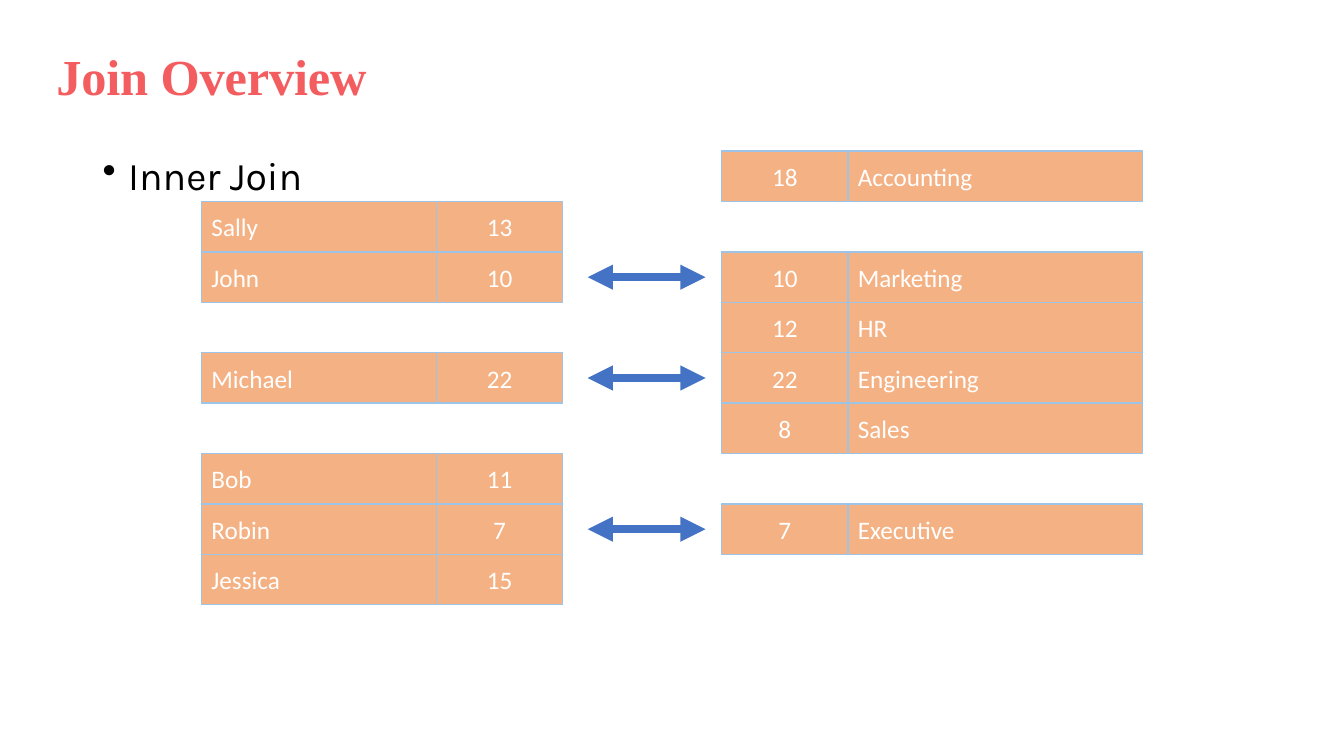
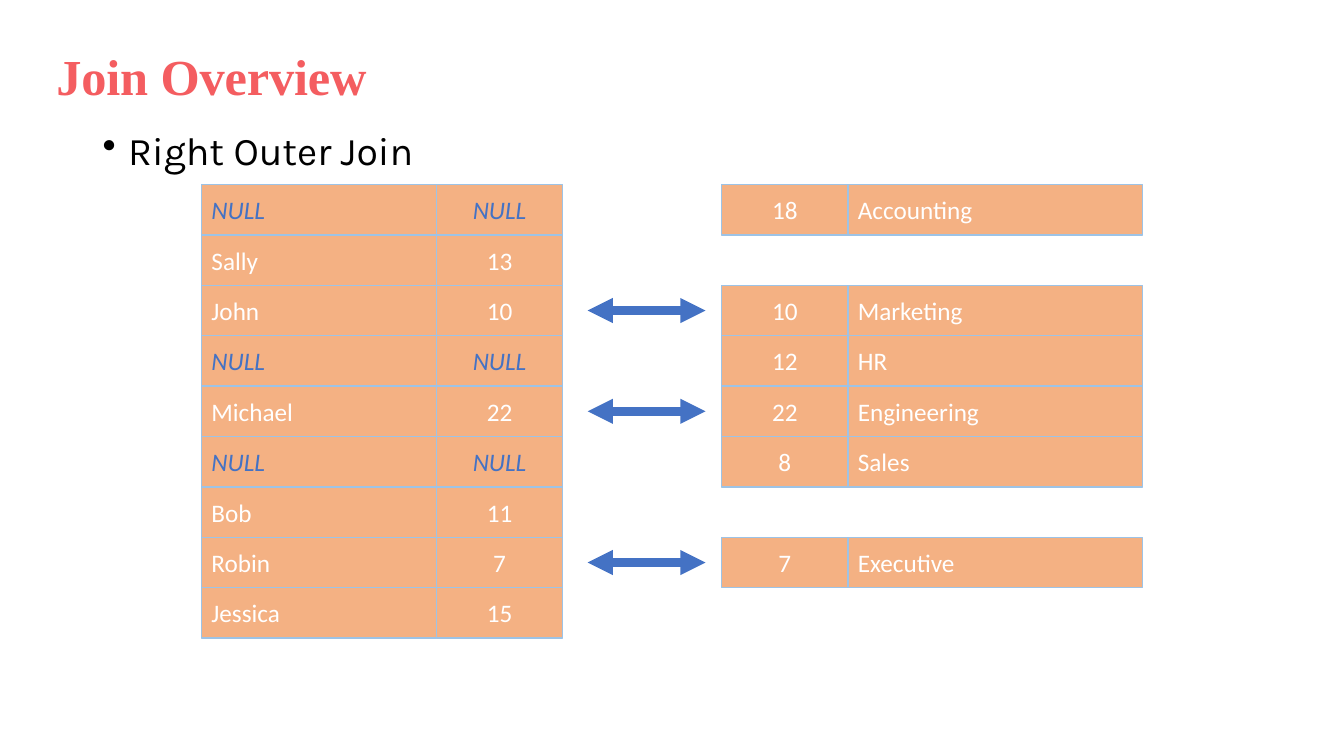
import lxml.etree
import pptx
import pptx.dml.color
import pptx.enum.shapes
import pptx.enum.text
import pptx.oxml.ns
import pptx.util

Cm = pptx.util.Cm
Pt = pptx.util.Pt
qn = pptx.oxml.ns.qn
RGBColor = pptx.dml.color.RGBColor
Align = pptx.enum.text.PP_ALIGN

CORAL = RGBColor(0xF4, 0x5D, 0x60)
ORANGE = RGBColor(0xF4, 0xB1, 0x83)
LIGHT_BLUE = RGBColor(0x9D, 0xC3, 0xE6)
BLUE = RGBColor(0x44, 0x72, 0xC4)
BLACK = RGBColor(0, 0, 0)
WHITE = RGBColor(0xFF, 0xFF, 0xFF)

# Both tables share one grid of rows; None leaves a row open.
EMPLOYEES = [None, ("Sally", "13"), ("John", "10"), None, ("Michael", "22"),
             None, ("Bob", "11"), ("Robin", "7"), ("Jessica", "15")]
DEPARTMENTS = [("18", "Accounting"), None, ("10", "Marketing"), ("12", "HR"),
               ("22", "Engineering"), ("8", "Sales"), None, ("7", "Executive"), None]
NULL = "NULL"

ROW_HEIGHT = 1.27
KEY_WIDTH = 3.18
NAME_LEFT, NAME_WIDTH = 5.08, 5.92
DEPT_LEFT, DEPT_WIDTH = 18.19, 7.42
ARROW_LEFT, ARROW_RIGHT = 14.81, 17.78


class Deck:
    TITLE = {"name": "Times New Roman", "size": Pt(36), "bold": True}
    BULLET = {"name": "Karla", "size": Pt(28)}
    CELL = {"name": "Calibri", "size": Pt(18)}

    def __init__(self):
        self.prs = pptx.Presentation()
        self.prs.slide_width = Cm(33.87)
        self.prs.slide_height = Cm(19.05)
        self.s = None

    def add_text(self, p, text, style, color):
        r = p.add_run()
        r.text = text
        for name, value in style.items():
            setattr(r.font, name, value)
        r.font.color.rgb = color
        return r

    def text_box(self, left, top, width, height):
        tf = self.s.shapes.add_textbox(Cm(left), Cm(top), Cm(width), Cm(height)).text_frame
        tf.word_wrap = True
        return tf

    def new_slide(self):
        """Start a slide with the shared title."""
        self.s = self.prs.slides.add_slide(self.prs.slide_layouts[6])
        tf = self.text_box(1.17, 1.02, 16.97, 1.8)
        tf.auto_size = pptx.enum.text.MSO_AUTO_SIZE.SHAPE_TO_FIT_TEXT
        r = self.add_text(tf.paragraphs[0], "Join Overview", self.TITLE, CORAL)
        r._r.get_or_add_rPr().set("spc", "-10")

    def bullet(self, text, top):
        p = self.text_box(2.34, top, 29.21, 12.09).paragraphs[0]
        p.line_spacing = 0.9
        p.space_before = Pt(10)
        pPr = p._p.get_or_add_pPr()
        pPr.set("marL", str(Cm(0.64)))
        pPr.set("indent", str(-Cm(0.64)))
        lxml.etree.SubElement(pPr, qn("a:buChar")).set("char", "•")
        self.add_text(p, text, self.BULLET, BLACK)

    def cell(self, text, left, top, width, align):
        sp = self.s.shapes.add_shape(pptx.enum.shapes.MSO_SHAPE.RECTANGLE,
                                     Cm(left), Cm(top), Cm(width), Cm(ROW_HEIGHT))
        sp.shadow.inherit = False
        sp.fill.solid()
        sp.fill.fore_color.rgb = ORANGE
        sp.line.color.rgb = LIGHT_BLUE
        sp.line.width = Pt(1)
        sp.text_frame.vertical_anchor = pptx.enum.text.MSO_ANCHOR.MIDDLE
        p = sp.text_frame.paragraphs[0]
        p.alignment = align
        is_null = text == NULL
        self.add_text(p, text, {**self.CELL, "italic": is_null}, BLUE if is_null else WHITE)

    def arrow(self, y):
        connector = self.s.shapes.add_connector(pptx.enum.shapes.MSO_CONNECTOR.STRAIGHT,
                                                Cm(ARROW_LEFT), Cm(y), Cm(ARROW_RIGHT), Cm(y))
        connector.line.color.rgb = BLUE
        connector.line.width = Pt(6)
        spPr = connector._element.spPr
        ln = spPr.find(qn("a:ln"))
        for end in ("a:headEnd", "a:tailEnd"):
            lxml.etree.SubElement(ln, qn(end)).set("type", "triangle")
        lxml.etree.SubElement(spPr, qn("a:effectLst"))

    def join(self, employees, departments, top):
        """Draw both tables row by row, with an arrow where the keys match."""
        for i, (employee, department) in enumerate(zip(employees, departments)):
            y = top + i * ROW_HEIGHT
            if employee:
                name, key = employee
                self.cell(name, NAME_LEFT, y, NAME_WIDTH, Align.LEFT)
                self.cell(key, NAME_LEFT + NAME_WIDTH, y, KEY_WIDTH, Align.CENTER)
            if department:
                key, name = department
                self.cell(key, DEPT_LEFT, y, KEY_WIDTH, Align.CENTER)
                self.cell(name, DEPT_LEFT + KEY_WIDTH, y, DEPT_WIDTH, Align.LEFT)
            if employee and department and employee[1] == department[0]:
                self.arrow(y + ROW_HEIGHT / 2)


def main():
    deck = Deck()
    padded = [employee or (NULL, NULL) for employee in EMPLOYEES]
    for heading, heading_top, employees, top in (
            ("Inner Join", 3.81, EMPLOYEES, 3.81),
            ("Right Outer Join", 3.18, padded, 4.65)):
        deck.new_slide()
        deck.bullet(heading, heading_top)
        deck.join(employees, DEPARTMENTS, top)
    deck.prs.save("out.pptx")


if __name__ == "__main__":
    main()
